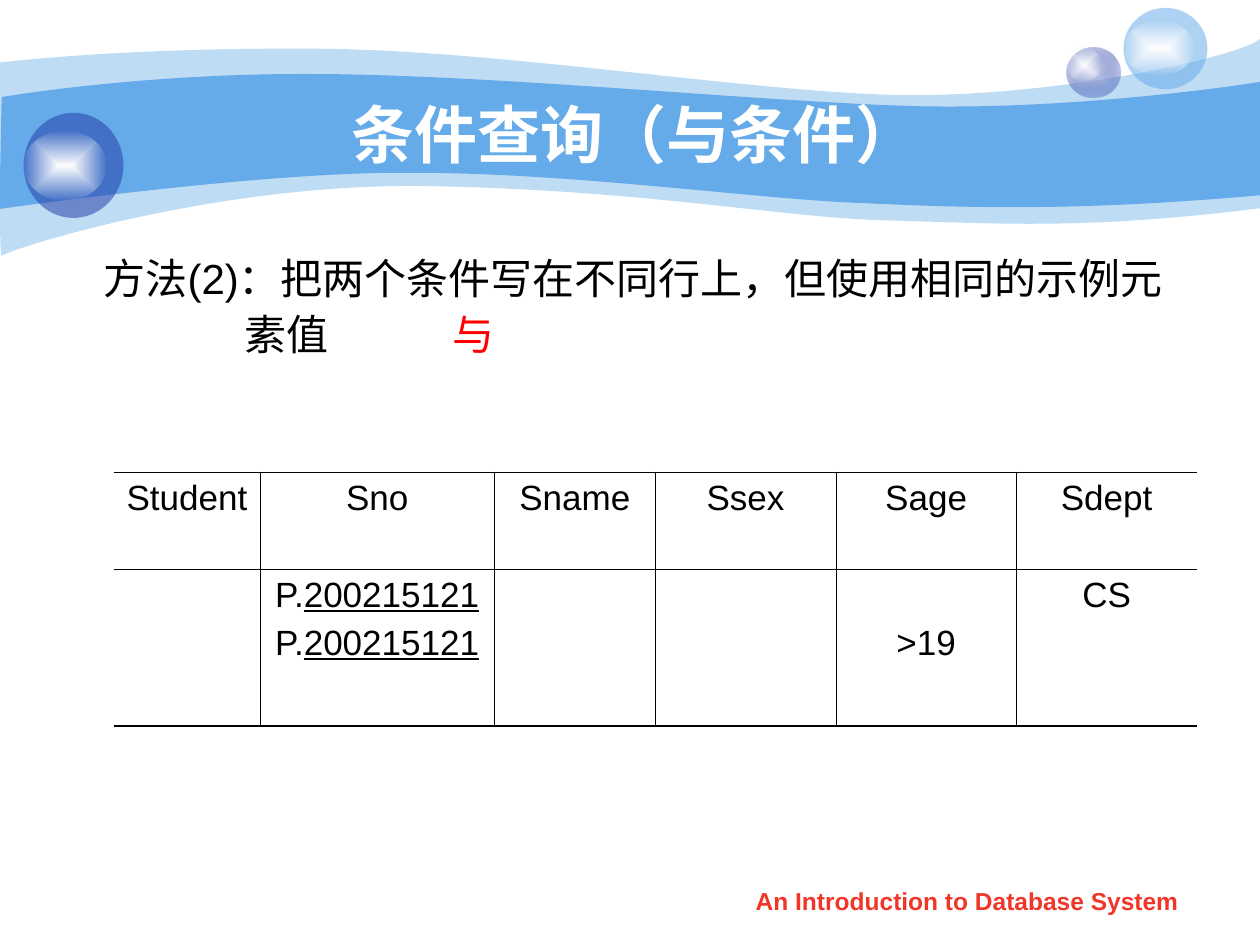
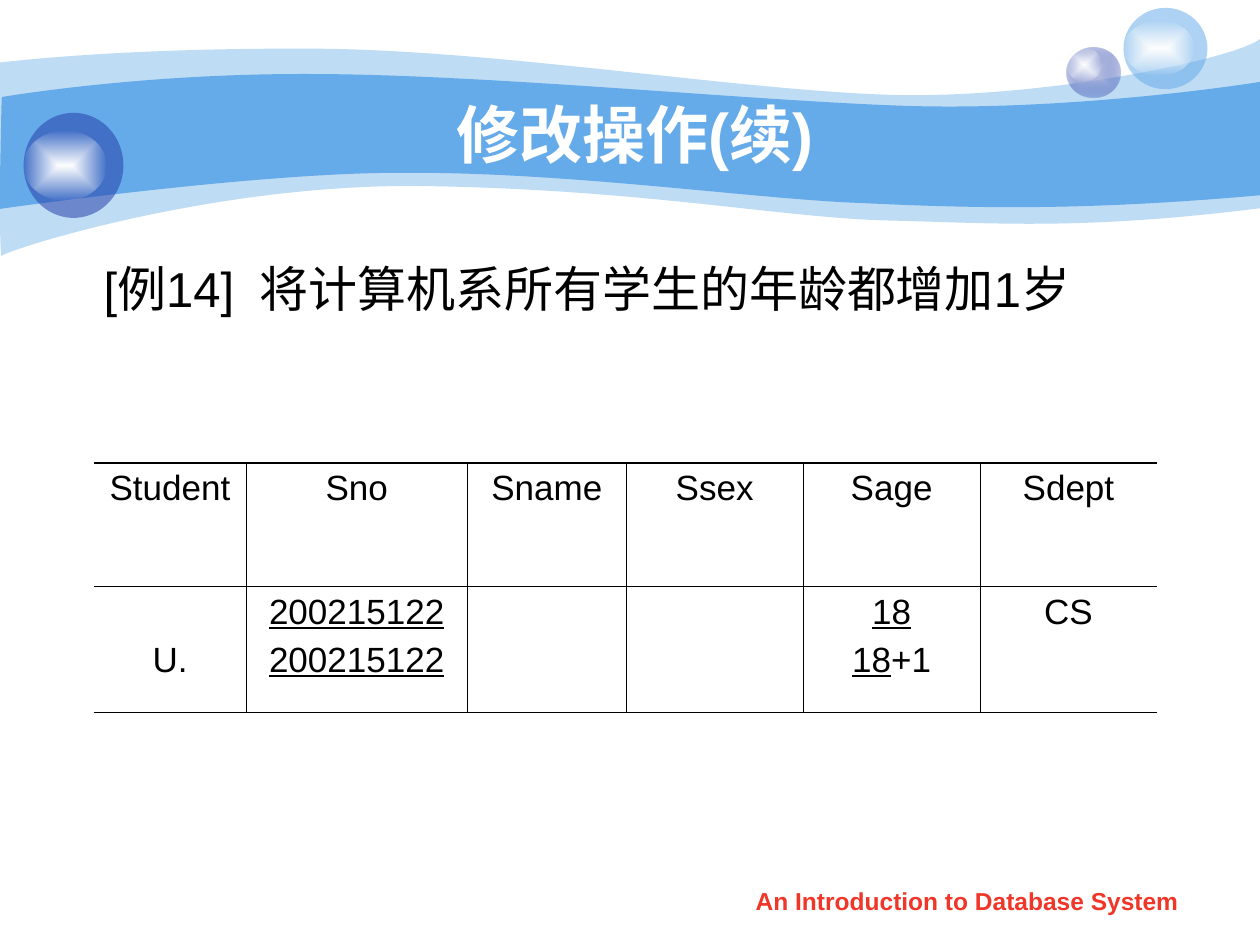
from lxml.etree import SubElement
from pptx import Presentation
from pptx.dml.color import RGBColor
from pptx.enum.shapes import MSO_SHAPE
from pptx.enum.text import MSO_ANCHOR, MSO_AUTO_SIZE, PP_ALIGN
from pptx.oxml import parse_xml
from pptx.oxml.ns import nsdecls, qn
from pptx.util import Pt

# Shared look
FONT = "Arial"
SKY = RGBColor(0x65, 0xAA, 0xE9)
NAVY = RGBColor(0x23, 0x3D, 0xA9)
LILAC = RGBColor(0xC7, 0xCE, 0xE9)
WHITE = RGBColor(0xFF, 0xFF, 0xFF)
BLACK = RGBColor(0, 0, 0)
RED = RGBColor(0xFF, 0, 0)
FOOTER_RED = RGBColor(0xF0, 0x36, 0x28)

FOOTER = "An Introduction to Database System"
HEADERS = ["Student", "Sno", "Sname", "Ssex", "Sage", "Sdept"]
THIN, THICK = 0.45, 1.08
CELL_MARGIN = 3.6
SECOND_LINE = 31  # top margin that puts a cell's text on its second line
UNDERLINE = {"underline": True}

# Wave outlines in points: a pair is a straight line, six numbers a Bezier curve
LIGHT_WAVE = [
    (0, 35.7),
    (17.3, 33.8, 77.8, 27.4, 177.8, 27.8),
    (277.9, 28, 414, 50.4, 503.3, 54),
    (591.8, 57.6, 705.6, 33.8, 720, 22.3),
    (720, 119),
    (617.8, 131.8, 567.4, 127.4, 507.6, 126),
    (447.8, 124.6, 370.8, 108.7, 247, 106.4),
    (123.8, 103.7, 2.9, 143.3, 1, 146.2),
    (-0.7, 149.8, 0, 54, 0, 35.7),
]
MAIN_WAVE = [
    (1.1, 55.4),
    (2.2, 55.4, 79.2, 41.8, 178.6, 42.3),
    (278.6, 42.5, 429.1, 57.6, 517, 60.5),
    (605.5, 63.4, 702.7, 49.7, 720, 46.8),
    (720, 111.6),
    (614.2, 121, 551.5, 118.8, 491, 116),
    (431.3, 113.8, 321.8, 97.9, 228.2, 98.8),
    (146.2, 98.6, -1.4, 119.5, -0.7, 119.5),
    (0, 119.5, 0.7, 55.4, 1.1, 55.4),
]


def write_text(frame, lines, *, size, color=BLACK, bold=False,
               align=PP_ALIGN.CENTER, space_before=0, line_spacing=None, margins=()):
    """Fill a frame; a line is a list of texts or (text, overrides) pairs."""
    for index, line in enumerate(lines):
        paragraph = frame.paragraphs[0] if index == 0 else frame.add_paragraph()
        properties = paragraph._p.get_or_add_pPr()
        properties.set("marL", str(Pt(margins[index] if margins else 0)))
        properties.set("indent", "0")
        SubElement(properties, qn("a:buNone"))
        paragraph.alignment = align
        paragraph.space_before = Pt(space_before if index else 0)
        if line_spacing:
            paragraph.line_spacing = line_spacing
        for part in line:
            text, changes = (part, {}) if isinstance(part, str) else part
            run = paragraph.add_run()
            run.text = text
            run.font.name = FONT
            run.font.size = Pt(size)
            run.font.bold = bold
            run.font.underline = changes.get("underline", False)
            run.font.color.rgb = changes.get("color", color)
            if "spacing" in changes:
                run._r.get_or_add_rPr().set("spc", str(int(changes["spacing"] * 100)))


def place(shape, left, top, width, height):
    shape.left, shape.top = Pt(left), Pt(top)
    shape.width, shape.height = Pt(width), Pt(height)


def set_solid(shape, color, opacity=100):
    shape.fill.solid()
    shape.fill.fore_color.rgb = color
    if opacity < 100:
        color_element = shape.element.spPr.find(qn("a:solidFill"))[0]
        SubElement(color_element, qn("a:alpha"), val=str(opacity * 1000))


def set_glow(shape, inner, outer, outer_opacity):
    """Rectangular gradient from the centre to a partly clear edge."""
    shape.fill.background()
    properties = shape.element.spPr
    properties.replace(properties.find(qn("a:noFill")), parse_xml(
        f'<a:gradFill {nsdecls("a")} rotWithShape="1"><a:gsLst>'
        f'<a:gs pos="0"><a:srgbClr val="{inner}"/></a:gs>'
        f'<a:gs pos="100000"><a:srgbClr val="{outer}">'
        f'<a:alpha val="{outer_opacity * 1000}"/></a:srgbClr></a:gs></a:gsLst>'
        '<a:path path="rect"><a:fillToRect l="50000" t="50000" r="50000" b="50000"/>'
        '</a:path></a:gradFill>'))


def add_wave(slide, outline, opacity):
    """Draw the corner points as a freeform, then bend its sides."""
    (start_x, start_y), *corners = [
        (Pt(segment[-2]), Pt(segment[-1])) for segment in outline]
    builder = slide.shapes.build_freeform(start_x, start_y)
    builder.add_line_segments(corners, close=True)
    wave = builder.convert_to_shape()
    sides = list(wave.element.iter(qn("a:lnTo")))
    for side, segment in zip(sides, outline[1:]):
        if len(segment) == 6:
            curve = parse_xml(f'<a:cubicBezTo {nsdecls("a")}/>')
            for x, y in zip(segment[::2], segment[1::2]):
                SubElement(curve, qn("a:pt"),
                           x=str(Pt(x) - wave.left), y=str(Pt(y) - wave.top))
            side.getparent().replace(side, curve)
    set_solid(wave, SKY, opacity)
    wave.line.fill.background()
    wave.shadow.inherit = False


def add_bubble(slide, ball_box, shine_box):
    """Group a ball with its white shine and return the ball."""
    group = slide.shapes.add_group_shape()
    ball, shine = [
        group.shapes.add_shape(MSO_SHAPE.OVAL, *[Pt(value) for value in box])
        for box in (ball_box, shine_box)]
    for shape in (ball, shine):
        shape.line.fill.background()
        shape.shadow.inherit = False
    set_glow(shine, WHITE, WHITE, 0)
    return ball


def move_to_layout(slide):
    """Hand the drawn shapes of a slide over to its layout."""
    layout = slide.slide_layout
    for placeholder in list(layout.placeholders)[2:]:
        placeholder.element.getparent().remove(placeholder.element)
    tree = layout.placeholders[0].element.getparent()
    for shape in list(slide.shapes):
        if not shape.is_placeholder:
            tree.append(shape.element)


def add_backdrop(slide):
    add_wave(slide, LIGHT_WAVE, 41)
    add_wave(slide, MAIN_WAVE, 100)
    small = add_bubble(slide, (609.5, 27, 30.5, 29), (609.5, 27, 20, 19.5))
    set_glow(small, LILAC, NAVY, 31)
    pale = add_bubble(slide, (642, 4.5, 48, 46.5), (642, 12, 40.5, 31))
    set_solid(pale, SKY, 53)
    dark = add_bubble(slide, (13.5, 64.5, 57, 60), (13.5, 74.5, 47.5, 40))
    set_solid(dark, NAVY, 53)
    move_to_layout(slide)


def add_footer(slide):
    box = slide.shapes.add_textbox(Pt(411), Pt(502.5), Pt(283.5), Pt(25))
    box.text_frame.word_wrap = True
    write_text(box.text_frame, [[FOOTER]], size=14, color=FOOTER_RED, bold=True)


def add_base_slide(presentation, title_text, body_box, body_lines, **body_format):
    """Make a slide with title, body text and footer."""
    slide = presentation.slides.add_slide(presentation.slide_layouts[1])
    if len(presentation.slides) == 1:
        add_backdrop(slide)
    title, body = slide.shapes.title, slide.placeholders[1]
    for placeholder in (title, body):
        placeholder.text_frame.auto_size = MSO_AUTO_SIZE.NONE
    place(title, 72, 54, 582, 44.5)
    title.text_frame.vertical_anchor = MSO_ANCHOR.MIDDLE
    write_text(title.text_frame, [[title_text]], size=36, color=WHITE, bold=True)
    place(body, *body_box)
    write_text(body.text_frame, body_lines, align=PP_ALIGN.JUSTIFY, **body_format)
    add_footer(slide)
    return slide


def set_border(cell, side, width):
    """Draw one cell border; a width of 0 hides it."""
    line = SubElement(cell._tc.get_or_add_tcPr(), qn(f"a:ln{side}"), w=str(Pt(width)))
    if width:
        fill = SubElement(line, qn("a:solidFill"))
        SubElement(fill, qn("a:srgbClr"), val=str(BLACK))
    else:
        SubElement(line, qn("a:noFill"))


def add_query_table(slide, left, top, widths, heights, entries):
    """Add the query form; entries maps a header to (lines, top margin)."""
    frame = slide.shapes.add_table(
        len(heights), len(widths), Pt(left), Pt(top), Pt(sum(widths)), Pt(sum(heights)))
    table = frame.table
    table.first_row = table.horz_banding = False
    for column, width in zip(table.columns, widths):
        column.width = Pt(width)
    for row, height in zip(table.rows, heights):
        row.height = Pt(height)
    contents = [{header: ([[header]], CELL_MARGIN) for header in HEADERS}, entries]
    for row_index, content in enumerate(contents):
        for column_index, header in enumerate(HEADERS):
            cell = table.cell(row_index, column_index)
            set_border(cell, "L", THIN if column_index > 0 else 0)
            set_border(cell, "R", THIN if column_index < len(HEADERS) - 1 else 0)
            set_border(cell, "T", THICK if row_index == 0 else THIN)
            set_border(cell, "B", THIN if row_index == 0 else THICK)
            cell.fill.background()
            if header in content:
                lines, cell.margin_top = content[header][0], Pt(content[header][1])
                write_text(cell.text_frame, lines, size=20, space_before=5)


def main():
    presentation = Presentation()
    presentation.slide_width, presentation.slide_height = Pt(720), Pt(540)

    # Two conditions joined by AND
    slide = add_base_slide(
        presentation, "条件查询（与条件）", (36, 144, 659, 137.5),
        [["方法(2)：把两个条件写在不同行上，但使用相同的示例元"],
         ["素值", (" ", {"spacing": 65.5}), ("与", {"color": RED})]],
        size=24, space_before=6, line_spacing=0.9, margins=(16, 96.5))
    add_query_table(
        slide, 65, 270, [83.7, 133.8, 92, 103.2, 103.2, 103.2], [55.5, 89.4],
        {"Sno": ([["P.", ("200215121", UNDERLINE)]] * 2, CELL_MARGIN),
         "Sage": ([[">19"]], SECOND_LINE),
         "Sdept": ([["CS"]], CELL_MARGIN)})

    # Update operation
    slide = add_base_slide(
        presentation, "修改操作(续)", (36, 144, 630, 103.5),
        [["[例14]", (" ", {"spacing": 7}), "将计算机系所有学生的年龄都增加1岁"]],
        size=28, margins=(16,))
    add_query_table(
        slide, 53.7, 264.5, [87, 126.4, 90.8, 101.1, 101.1, 101.1], [70.5, 72.2],
        {"Student": ([["U."]], SECOND_LINE),
         "Sno": ([[("200215122", UNDERLINE)]] * 2, CELL_MARGIN),
         "Sage": ([[("18", UNDERLINE)], [("18", UNDERLINE), "+1"]], CELL_MARGIN),
         "Sdept": ([["CS"]], CELL_MARGIN)})

    presentation.save("out.pptx")


if __name__ == "__main__":
    main()
